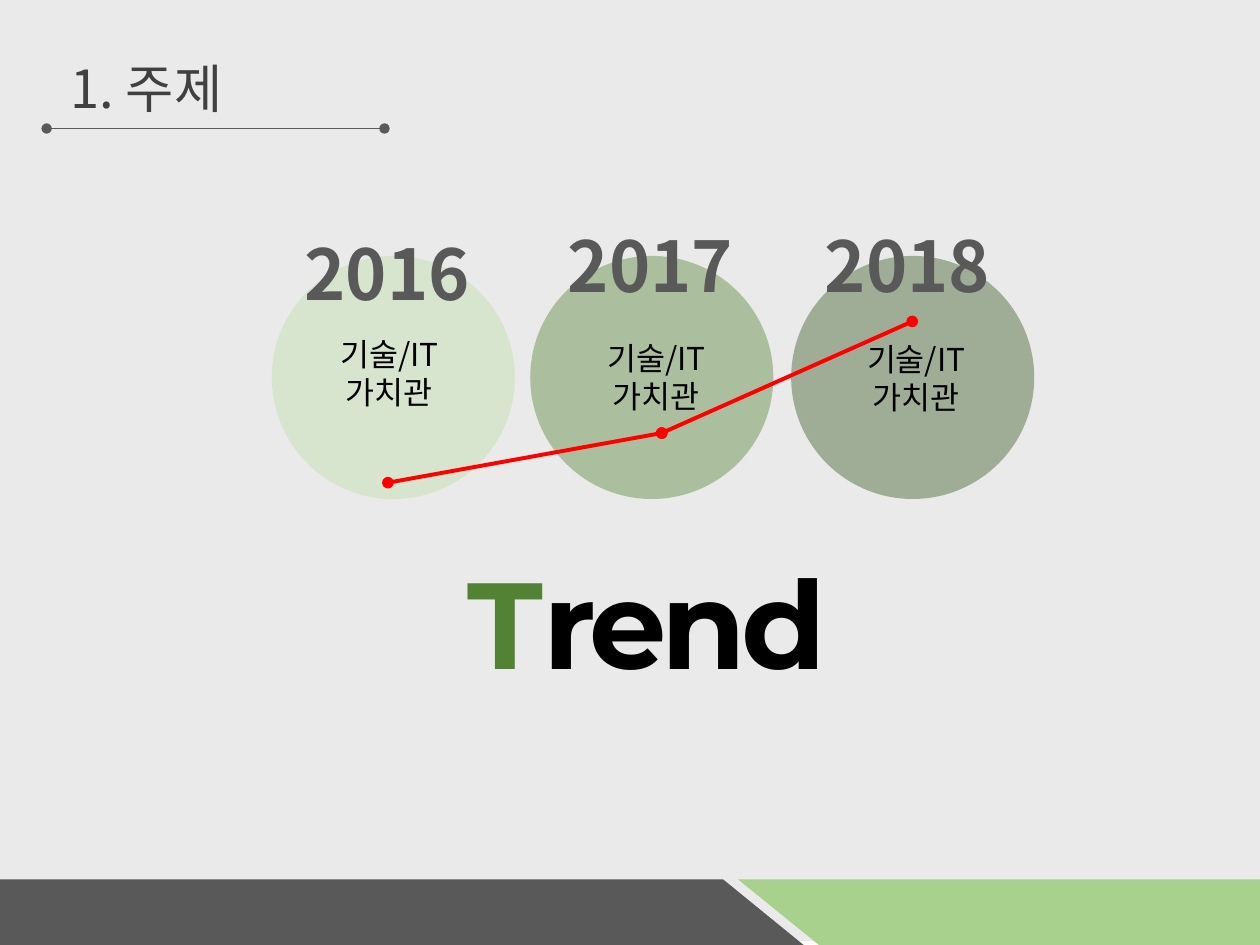
from lxml import etree
from pptx import Presentation
from pptx.dml.color import RGBColor
from pptx.enum.shapes import MSO_CONNECTOR, MSO_SHAPE
from pptx.enum.text import MSO_ANCHOR, PP_ALIGN
from pptx.oxml.ns import qn
from pptx.util import Cm, Pt

COLORS = {
    "background": "EAEAEA", "title": "404040", "gray": "595959",
    "footer_green": "A9D18E", "accent": "548235", "black": "000000",
    "trend_line": "FF0000", "light": "C5E0B4", "dark": "385723",
}
KOREAN_FONT = "Noto Sans CJK KR"
CIRCLE_SIZE = 4.9
CIRCLE_TOP = 5.16

# year, circle left, colour, opacity %, year position, label box (left, top, width)
YEARS = [
    ("2016", 5.48, "light", 51, (5.89, 4.52), (5.64, 6.63, 4.42)),
    ("2017", 10.69, "accent", 42, (11.2, 4.37), (10.64, 6.71, 5.18)),
    ("2018", 15.95, "dark", 42, (16.38, 4.37), (15.88, 6.73, 5.18)),
]
TREND_POINTS = [(7.82, 9.73), (13.34, 8.73), (18.39, 6.48)]


def color(name):
    return RGBColor.from_string(COLORS[name])


def fill_shape(shape, color_name, opacity=100):
    shape.shadow.inherit = False
    shape.fill.solid()
    shape.fill.fore_color.rgb = color(color_name)
    shape.line.fill.background()
    if opacity < 100:
        fill_color = shape.fill._xPr.find(qn("a:solidFill"))[0]
        etree.SubElement(fill_color, qn("a:alpha"), val=str(opacity * 1000))


def add_preset(shapes, preset, left, top, width, height, color_name, opacity=100):
    shape = shapes.add_shape(preset, Cm(left), Cm(top), Cm(width), Cm(height))
    fill_shape(shape, color_name, opacity)


def add_polygon(shapes, points, color_name):
    corners = [(Cm(x), Cm(y)) for x, y in points]
    builder = shapes.build_freeform(*corners[0])
    builder.add_line_segments(corners[1:], close=True)
    fill_shape(builder.convert_to_shape(), color_name)


def add_text(shapes, lines, left, top, width, height, size, color_name,
             bold=False, align=PP_ALIGN.LEFT, font_name=KOREAN_FONT):
    """Add a text box with one paragraph per line and return its text frame."""
    frame = shapes.add_textbox(Cm(left), Cm(top), Cm(width), Cm(height)).text_frame
    frame.word_wrap = True
    frame.text = "\n".join(lines)
    for paragraph in frame.paragraphs:
        paragraph.alignment = align
        font = paragraph.font
        font.name, font.size, font.bold = font_name, Pt(size), bold
        font.color.rgb = color(color_name)
        for run in paragraph.runs:
            etree.SubElement(run._r.get_or_add_rPr(), qn("a:ea"), typeface=font_name)
    return frame


def add_dotted_line(shapes, start, end, color_name, width):
    """Add a straight line with a round dot at each end."""
    line = shapes.add_connector(MSO_CONNECTOR.STRAIGHT, *map(Cm, start + end))
    line.line.color.rgb = color(color_name)
    line.line.width = Pt(width)
    for tag in ("a:headEnd", "a:tailEnd"):
        etree.SubElement(line.line._get_or_add_ln(), qn(tag), type="oval")
    etree.SubElement(line._element.spPr, qn("a:effectLst"))


def add_title(shapes):
    frame = add_text(shapes, ["1. 주제"], 1.17, 0, 10.64, 3.68, 30, "title")
    frame.vertical_anchor = MSO_ANCHOR.MIDDLE
    frame.paragraphs[0].line_spacing = 0.9
    add_dotted_line(shapes, (0.94, 2.59), (7.75, 2.59), "gray", 0.5)


def add_footer(shapes):
    top, bottom = 17.73, 19.05
    add_polygon(shapes, [(-0.2, top), (14.58, top), (16.2, bottom), (-0.18, bottom)],
                "gray")
    add_polygon(shapes, [(31.29, bottom), (16.51, bottom), (14.88, top), (31.27, top)],
                "footer_green")


def add_trend_word(shapes):
    frame = add_text(shapes, ["T"], 6.25, 10.9, 13.59, 3.25, 70, "black",
                     bold=True, align=PP_ALIGN.CENTER, font_name="Montserrat")
    paragraph = frame.paragraphs[0]
    paragraph.runs[0].font.color.rgb = color("accent")
    paragraph.add_run().text = "rend"
    for run in paragraph.runs:
        run._r.get_or_add_rPr().set("spc", "-300")


def add_year(shapes, year, circle_left, color_name, opacity, year_at, label_at):
    group = shapes.add_group_shape().shapes
    add_preset(group, MSO_SHAPE.OVAL, circle_left, CIRCLE_TOP, CIRCLE_SIZE,
               CIRCLE_SIZE, color_name, opacity)
    add_text(group, [year], *year_at, 4.01, 1.96, 40, "gray", bold=True)
    add_text(group, ["기술/IT", "가치관"], *label_at, 1.8, 18, "black",
             align=PP_ALIGN.CENTER)


def main():
    presentation = Presentation()
    presentation.slide_width, presentation.slide_height = Cm(25.4), Cm(19.05)
    slide = presentation.slides.add_slide(presentation.slide_layouts[6])
    shapes = slide.shapes

    add_preset(shapes, MSO_SHAPE.RECTANGLE, 0, -0.08, 25.4, 19.05, "background")
    add_title(shapes)
    add_footer(shapes)
    add_trend_word(shapes)
    for year in YEARS:
        add_year(shapes, *year)
    trend_group = shapes.add_group_shape().shapes
    for start, end in zip(TREND_POINTS, TREND_POINTS[1:]):
        add_dotted_line(trend_group, start, end, "trend_line", 2.25)

    presentation.save("out.pptx")


if __name__ == "__main__":
    main()
